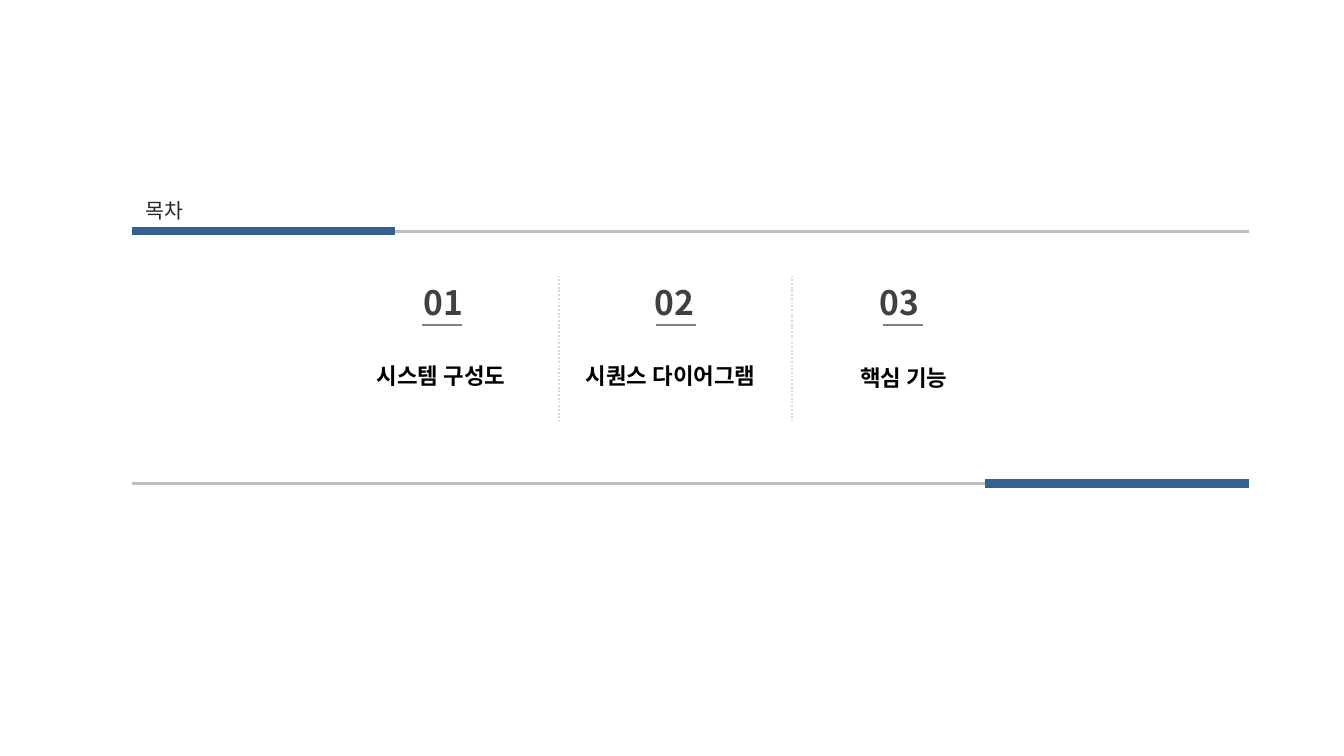
from lxml import etree
from pptx import Presentation
from pptx.dml.color import RGBColor
from pptx.enum.dml import MSO_LINE
from pptx.enum.shapes import MSO_CONNECTOR
from pptx.enum.text import MSO_AUTO_SIZE, PP_ALIGN
from pptx.oxml.ns import qn
from pptx.util import Cm, Pt

STRAIGHT = MSO_CONNECTOR.STRAIGHT
DOTTED = MSO_LINE.ROUND_DOT
FIT = MSO_AUTO_SIZE.SHAPE_TO_FIT_TEXT
LEFT, CENTER = PP_ALIGN.LEFT, PP_ALIGN.CENTER

FONT = "Noto Sans CJK KR"
BLUE = RGBColor(0x37, 0x60, 0x92)
SILVER = RGBColor(0xBF, 0xBF, 0xBF)
PALE = RGBColor(0xD9, 0xD9, 0xD9)
GRAY = RGBColor(0x80, 0x80, 0x80)
DARK = RGBColor(0x40, 0x40, 0x40)
INK = RGBColor(0x26, 0x26, 0x26)
BLACK = RGBColor(0, 0, 0)

TITLE = {"size": Pt(11), "bold": False, "color": INK}
NUMBER = {"size": Pt(18), "bold": True, "color": DARK}
LABEL = {"size": Pt(12), "bold": True, "color": BLACK}

ACCENT_W = 4.98
GRAY_W = 18.53

# Number, its left, underline left, then label text, left, top, width, alignment
ITEMS = [
    ("01", 7.75, 7.98, "시스템 구성도 ", 6.58, 6.73, 3.61, CENTER),
    ("02", 12.12, 12.4, "시퀀스 다이어그램", 10.82, 6.73, 4.39, LEFT),
    ("03", 16.38, 16.69, "핵심 기능 ", 14.96, 6.76, 4.34, CENTER),
]
DIVIDERS = (10.57, 14.96)


def add_line(s, x1, y1, x2, y2, color, width, dash=None):
    line = s.shapes.add_connector(STRAIGHT, Cm(x1), Cm(y1), Cm(x2), Cm(y2))
    line.line.color.rgb = color
    line.line.width = Pt(width)
    if dash:
        line.line.dash_style = dash
    etree.SubElement(line._element.spPr, qn("a:effectLst"))


def add_text(s, text, left, top, width, height, style, align=LEFT):
    sp = s.shapes.add_textbox(Cm(left), Cm(top), Cm(width), Cm(height))
    tf = sp.text_frame
    tf.word_wrap = True
    tf.auto_size = FIT
    p = tf.paragraphs[0]
    p.alignment = align
    r = p.add_run()
    r.text = text
    r.font.name = FONT
    for name, value in style.items():
        if name == "color":
            r.font.color.rgb = value
        else:
            setattr(r.font, name, value)
    # Hangul takes the East Asian typeface
    etree.SubElement(r.font._element, qn("a:ea")).set("typeface", FONT)


def add_header(s, left, top, width):
    """Title above a rule with the accent on its left."""
    right = left + width
    y = top + 0.76
    add_line(s, right - GRAY_W, y, right, y, SILVER, 1.5)
    add_line(s, left, y, left + ACCENT_W, y, BLUE, 4.5)
    add_text(s, "목차", left + 0.02, top, 4.7, 0.74, TITLE)


def add_footer(s, left, top, width):
    """Rule with the accent on its right."""
    right = left + width
    add_line(s, left, top, left + GRAY_W, top, SILVER, 1.5)
    add_line(s, right - ACCENT_W, top, right, top, BLUE, 4.5)


def add_contents(s, top, height):
    """Numbered entries with dotted dividers between them."""
    for x in DIVIDERS:
        add_line(s, x, top, x, top + height, PALE, 1, DOTTED)
    for number, num_x, bar_x, label, x, y, width, align in ITEMS:
        add_text(s, number, num_x, top, 2.64, 1.02, NUMBER)
        add_line(s, bar_x, top + 0.94, bar_x + 0.75, top + 0.94, GRAY, 1)
        add_text(s, label, x, y, width, 0.76, LABEL, align)


def main():
    prs = Presentation()
    prs.slide_width, prs.slide_height = Cm(25.4), Cm(14.29)
    s = prs.slides.add_slide(prs.slide_layouts[6])
    add_header(s, 2.49, 3.61, 21.11)
    add_contents(s, 5.21, 2.74)
    add_footer(s, 2.49, 9.14, 21.11)
    prs.save("out.pptx")


if __name__ == "__main__":
    main()
